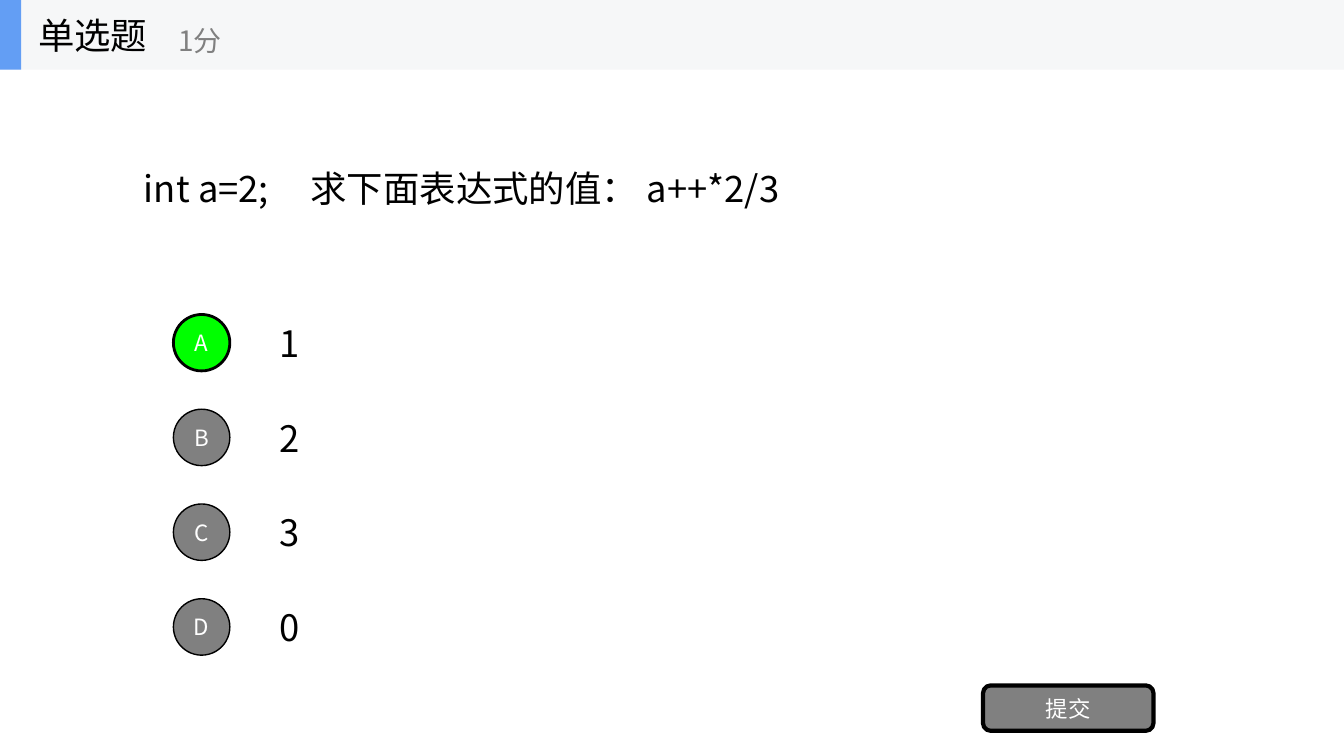
from lxml import etree
from pptx import Presentation
from pptx.dml.color import RGBColor
from pptx.enum.shapes import MSO_SHAPE
from pptx.enum.text import MSO_ANCHOR, PP_ALIGN
from pptx.oxml.ns import qn
from pptx.util import Inches, Pt

RECTANGLE = MSO_SHAPE.RECTANGLE
ROUNDED = MSO_SHAPE.ROUNDED_RECTANGLE
OVAL = MSO_SHAPE.OVAL
MIDDLE = MSO_ANCHOR.MIDDLE
LEFT, CENTER = PP_ALIGN.LEFT, PP_ALIGN.CENTER

FONT = "Noto Sans CJK SC"
BLACK, WHITE, GRAY = "000000", "FFFFFF", "808080"
BAND, ACCENT, CORRECT = "F6F7F8", "639EF4", "00FF00"

SLIDE_W, SLIDE_H = 13.33, 7.5
HEADER_H = 0.69
OPTION_PITCH = 0.94
OPTION_H = 0.7
BADGE = 0.56


def rgb(value):
    return RGBColor.from_string(value)


def write(shape, text, size, color, align=LEFT, wrap=True):
    frame = shape.text_frame
    frame.word_wrap = wrap
    frame.vertical_anchor = MIDDLE
    paragraph = frame.paragraphs[0]
    paragraph.text = text
    paragraph.alignment = align
    font = paragraph.font
    font.size = Pt(size)
    font.name = FONT
    font.color.rgb = rgb(color)
    # East Asian characters take their typeface from a separate element
    defaults = paragraph._p.pPr.find(qn("a:defRPr"))
    etree.SubElement(defaults, qn("a:ea"), typeface=FONT)
    return paragraph


def add_tab_stop(paragraph, position):
    stops = etree.Element(qn("a:tabLst"))
    etree.SubElement(stops, qn("a:tab"), pos=str(Inches(position)), algn="l")
    paragraph._p.pPr.insert(0, stops)


def add_text(slide, left, top, width, height, text, size=26, color=BLACK, wrap=True):
    box = slide.shapes.add_textbox(Inches(left), Inches(top), Inches(width), Inches(height))
    return write(box, text, size, color, wrap=wrap)


def add_block(slide, kind, left, top, width, height, fill, line_width=0):
    block = slide.shapes.add_shape(
        kind, Inches(left), Inches(top), Inches(width), Inches(height))
    block.shadow.inherit = False
    block.fill.solid()
    block.fill.fore_color.rgb = rgb(fill)
    if line_width:
        block.line.color.rgb = rgb(BLACK)
        block.line.width = Pt(line_width)
    else:
        block.line.fill.background()
    return block


def add_header(slide, left, top, width, height, title, score):
    add_block(slide, RECTANGLE, left, top, width, height, BAND)
    add_block(slide, RECTANGLE, left, top, 0.21, height, ACCENT)
    add_text(slide, left + 0.28, top, 2.08, height, title, wrap=False)
    add_text(slide, left + 1.67, top + 0.12, 2.5, 0.56, score, 20, GRAY, wrap=False)


def add_question(slide, left, top, width, height, text):
    question = add_text(slide, left, top, width, height, text)
    add_tab_stop(question, 1.65)


def add_options(slide, left, top, width, answers, correct):
    """Stack lettered answers at an even pitch and highlight the correct letter."""
    for row, answer in enumerate(answers):
        letter = "ABCD"[row]
        row_top = top + row * OPTION_PITCH
        fill, line_width = (CORRECT, 2) if letter == correct else (GRAY, 1)
        badge = add_block(slide, OVAL, left, row_top + (OPTION_H - BADGE) / 2,
                          BADGE, BADGE, fill, line_width)
        write(badge, letter, 16, WHITE, CENTER)
        add_text(slide, left + 0.95, row_top, width - 0.95, OPTION_H, answer)


def add_submit_button(slide, left, top, width, height, label):
    button = add_block(slide, ROUNDED, left, top, width, height, GRAY, 3)
    write(button, label, 16, WHITE, CENTER)


def main():
    deck = Presentation()
    deck.slide_width = Inches(SLIDE_W)
    deck.slide_height = Inches(SLIDE_H)
    slide = deck.slides.add_slide(deck.slide_layouts[6])
    add_question(slide, 1.33, HEADER_H, 10.67, 2.34,
                 "int a=2;\t求下面表达式的值： a++*2/3")
    add_options(slide, 1.72, 3.05, 10.28, ["1", "2", "3", "0"], correct="A")
    add_submit_button(slide, 9.75, 6.8, 1.69, 0.45, "提交")
    add_header(slide, 0, 0, SLIDE_W, HEADER_H, "单选题", "1分")
    deck.save("out.pptx")


if __name__ == "__main__":
    main()
